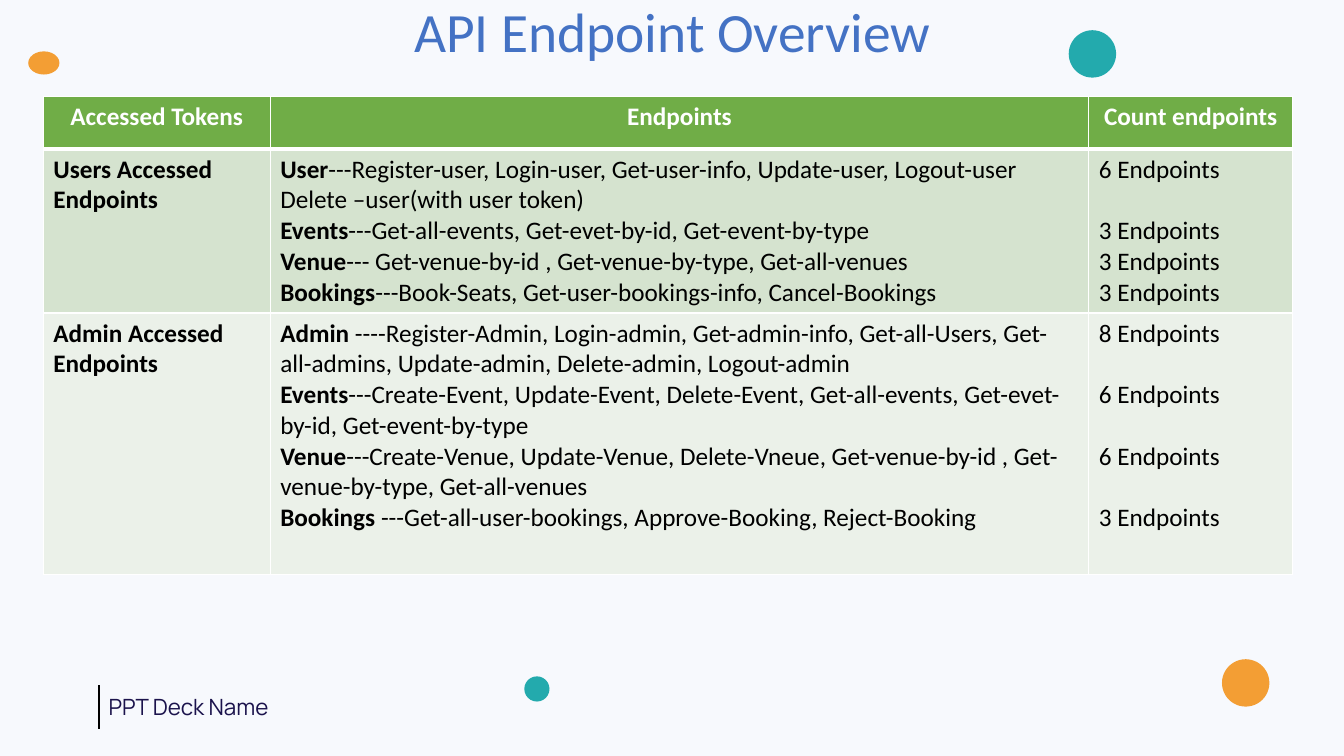
from lxml import etree
from pptx import Presentation
from pptx.dml.color import RGBColor
from pptx.enum.shapes import MSO_CONNECTOR as CONN, MSO_SHAPE as SHAPE
from pptx.enum.text import MSO_ANCHOR as ANCHOR, PP_ALIGN as ALIGN
from pptx.oxml.ns import qn
from pptx.util import Inches, Pt

COLORS = {
    "background": "F7F9FD", "title": "4472C4", "header": "70AD47",
    "users": "D5E3CF", "admin": "EBF1E9", "white": "FFFFFF",
    "black": "000000", "footer": "1B134C", "orange": "F39E34", "teal": "23AAAD",
}
TEXT_FONT, FOOTER_FONT = "Calibri", "Manrope"
LINE_HEIGHT = Pt(22)  # one line of 18 pt table text

COLUMN_WIDTHS = [2.25, 8.12, 2.02]
HEADINGS = ["Accessed Tokens", "Endpoints", "Count endpoints"]
# Each group: label, fill, row height, endpoints as (name, list),
# counts as (text, number of empty lines above)
GROUPS = [
    ("Users Accessed Endpoints", "users", 1.6, [
        ("User", "---Register-user, Login-user, Get-user-info, Update-user, "
                 "Logout-user Delete –user(with user token)"),
        ("Events", "---Get-all-events, Get-evet-by-id, Get-event-by-type"),
        ("Venue", "--- Get-venue-by-id , Get-venue-by-type, Get-all-venues"),
        ("Bookings", "---Book-Seats, Get-user-bookings-info, Cancel-Bookings"),
    ], [("6 Endpoints", 0), ("3 Endpoints", 1), ("3 Endpoints", 0), ("3 Endpoints", 0)]),
    ("Admin Accessed Endpoints", "admin", 2.59, [
        ("Admin", " ----Register-Admin, Login-admin, Get-admin-info, Get-all-Users, "
                  "Get-all-admins, Update-admin, Delete-admin, Logout-admin"),
        ("Events", "---Create-Event, Update-Event, Delete-Event, Get-all-events, "
                   "Get-evet-by-id, Get-event-by-type"),
        ("Venue", "---Create-Venue, Update-Venue, Delete-Vneue, Get-venue-by-id , "
                  "Get-venue-by-type, Get-all-venues"),
        ("Bookings", " ---Get-all-user-bookings, Approve-Booking, Reject-Booking"),
    ], [("8 Endpoints", 0), ("6 Endpoints", 1), ("6 Endpoints", 1), ("3 Endpoints", 1)]),
]
# left, top, width, height, colour
DOTS = [
    (12.12, 6.54, 0.47, 0.47, "orange"),
    (10.6, 0.3, 0.47, 0.47, "teal"),
    (5.2, 6.71, 0.25, 0.25, "teal"),
    (0.28, 0.51, 0.31, 0.23, "orange"),
]


def rgb(name):
    return RGBColor.from_string(COLORS[name])


def add_run(p, text, size, color, bold=False, font=TEXT_FONT):
    r = p.add_run()
    r.text = text
    r.font.size, r.font.name, r.font.bold = Pt(size), font, bold
    r.font.color.rgb = rgb(color)


def add_title(slide, left, top, width, height):
    sp = slide.shapes.title
    sp.left, sp.top, sp.width, sp.height = map(Inches, (left, top, width, height))
    tf = sp.text_frame
    tf.vertical_anchor = ANCHOR.MIDDLE
    p = tf.paragraphs[0]
    p.alignment, p.line_spacing = ALIGN.CENTER, 0.9
    add_run(p, "API Endpoint Overview", 39.6, "title")


def set_borders(cell, top=1, bottom=1):
    """Draw white borders, with widths in points."""
    tcPr = cell._tc.get_or_add_tcPr()
    sides = [("a:lnL", 1), ("a:lnR", 1), ("a:lnT", top), ("a:lnB", bottom)]
    for i, (tag, width) in enumerate(sides):
        ln = etree.Element(qn(tag), w=str(Pt(width)))
        fill = etree.SubElement(ln, qn("a:solidFill"))
        etree.SubElement(fill, qn("a:srgbClr"), val=COLORS["white"])
        tcPr.insert(i, ln)


def fill_cell(cell, lines, fill, color="black", align=ALIGN.LEFT):
    """Write lines of (runs, empty lines above); a run is (text, bold)."""
    cell.fill.solid()
    cell.fill.fore_color.rgb = rgb(fill)
    tf = cell.text_frame
    for i, (runs, gap) in enumerate(lines):
        p = tf.add_paragraph() if i else tf.paragraphs[0]
        p.alignment = align
        if gap:
            p.space_before = gap * LINE_HEIGHT
        for text, bold in runs:
            add_run(p, text, 18, color, bold)


def add_endpoint_table(slide, left, top, width, height):
    frame = slide.shapes.add_table(len(GROUPS) + 1, len(HEADINGS),
                                   *map(Inches, (left, top, width, height)))
    table = frame.table
    for column, column_width in zip(table.columns, COLUMN_WIDTHS):
        column.width = Inches(column_width)

    table.rows[0].height = Inches(0.52)
    for cell, heading in zip(table.rows[0].cells, HEADINGS):
        fill_cell(cell, [([(heading, True)], 0)], "header", "white", ALIGN.CENTER)
        set_borders(cell, bottom=3)

    for i, (label, fill, row_height, endpoints, counts) in enumerate(GROUPS, 1):
        row = table.rows[i]
        row.height = Inches(row_height)
        contents = [
            [([(label, True)], 0)],
            [([(name, True), (calls, False)], 0) for name, calls in endpoints],
            [([(count, False)], gap) for count, gap in counts],
        ]
        for cell, lines in zip(row.cells, contents):
            fill_cell(cell, lines, fill)
            set_borders(cell, top=3 if i == 1 else 1)


def add_footer(slide, left, top, width, height):
    sp = slide.shapes.add_textbox(*map(Inches, (left, top + 0.03, width, 0.37)))
    tf = sp.text_frame
    tf.word_wrap = True
    add_run(tf.paragraphs[0], "PPT Deck Name", 16, "footer", font=FOOTER_FONT)
    line = slide.shapes.add_connector(
        CONN.STRAIGHT, *map(Inches, (left, top, left, top + height)))
    line.line.color.rgb = rgb("black")
    line.line.width = Pt(1.5)
    etree.SubElement(line._element.spPr, qn("a:effectLst"))


def add_dot(slide, left, top, width, height, color):
    sp = slide.shapes.add_shape(SHAPE.FLOWCHART_CONNECTOR,
                                *map(Inches, (left, top, width, height)))
    sp.shadow.inherit = False
    sp.fill.solid()
    sp.fill.fore_color.rgb = rgb(color)
    sp.line.fill.background()


def main():
    prs = Presentation()
    prs.slide_width, prs.slide_height = Inches(13.33), Inches(7.5)
    slide = prs.slides.add_slide(prs.slide_layouts[5])
    slide.background.fill.solid()
    slide.background.fill.fore_color.rgb = rgb("background")
    add_title(slide, 0.92, 0.11, 11.5, 0.47)
    add_endpoint_table(slide, 0.43, 0.96, 12.39, 4.71)
    add_footer(slide, 0.98, 6.8, 4.79, 0.43)
    for dot in DOTS:
        add_dot(slide, *dot)
    prs.save("out.pptx")


if __name__ == "__main__":
    main()
